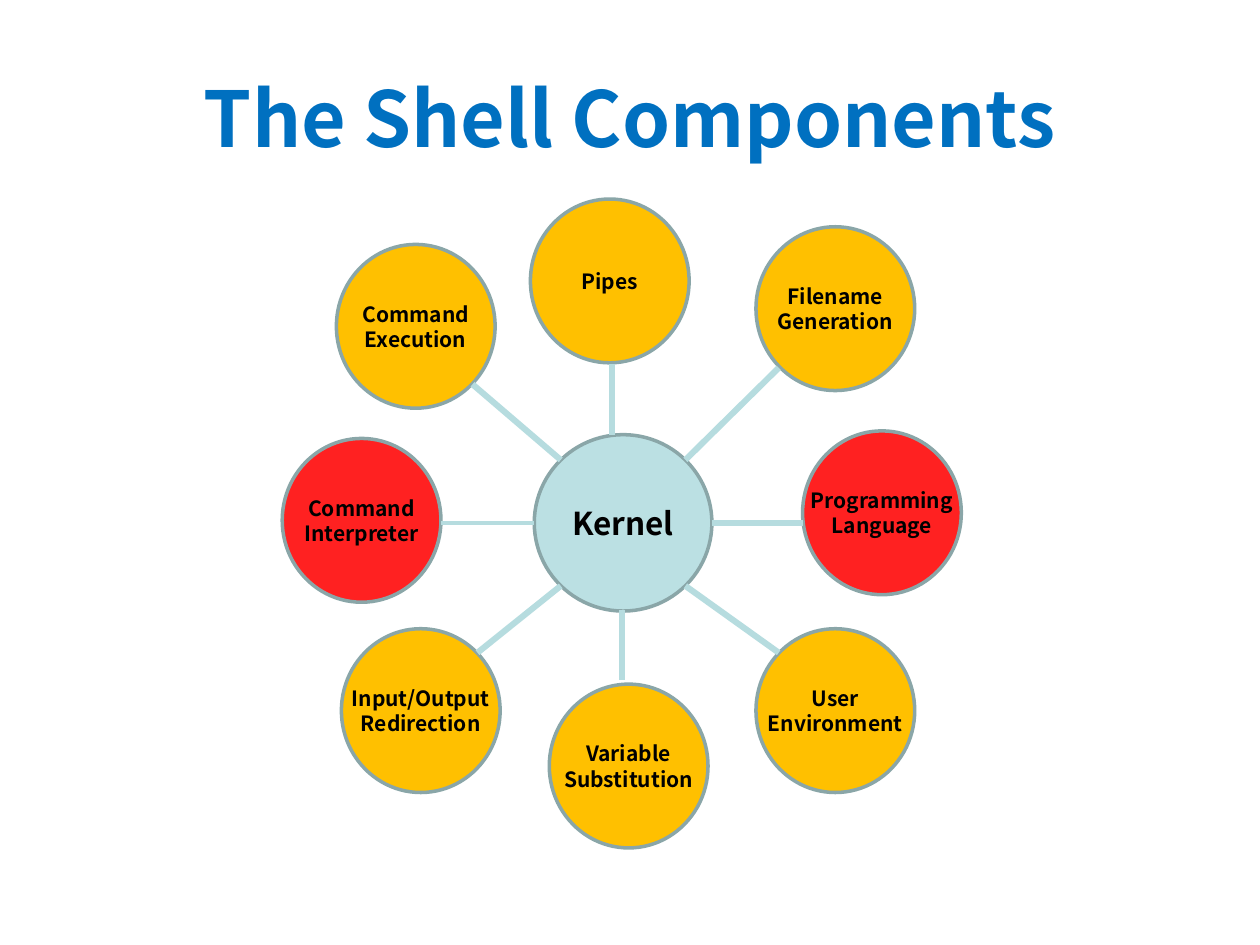
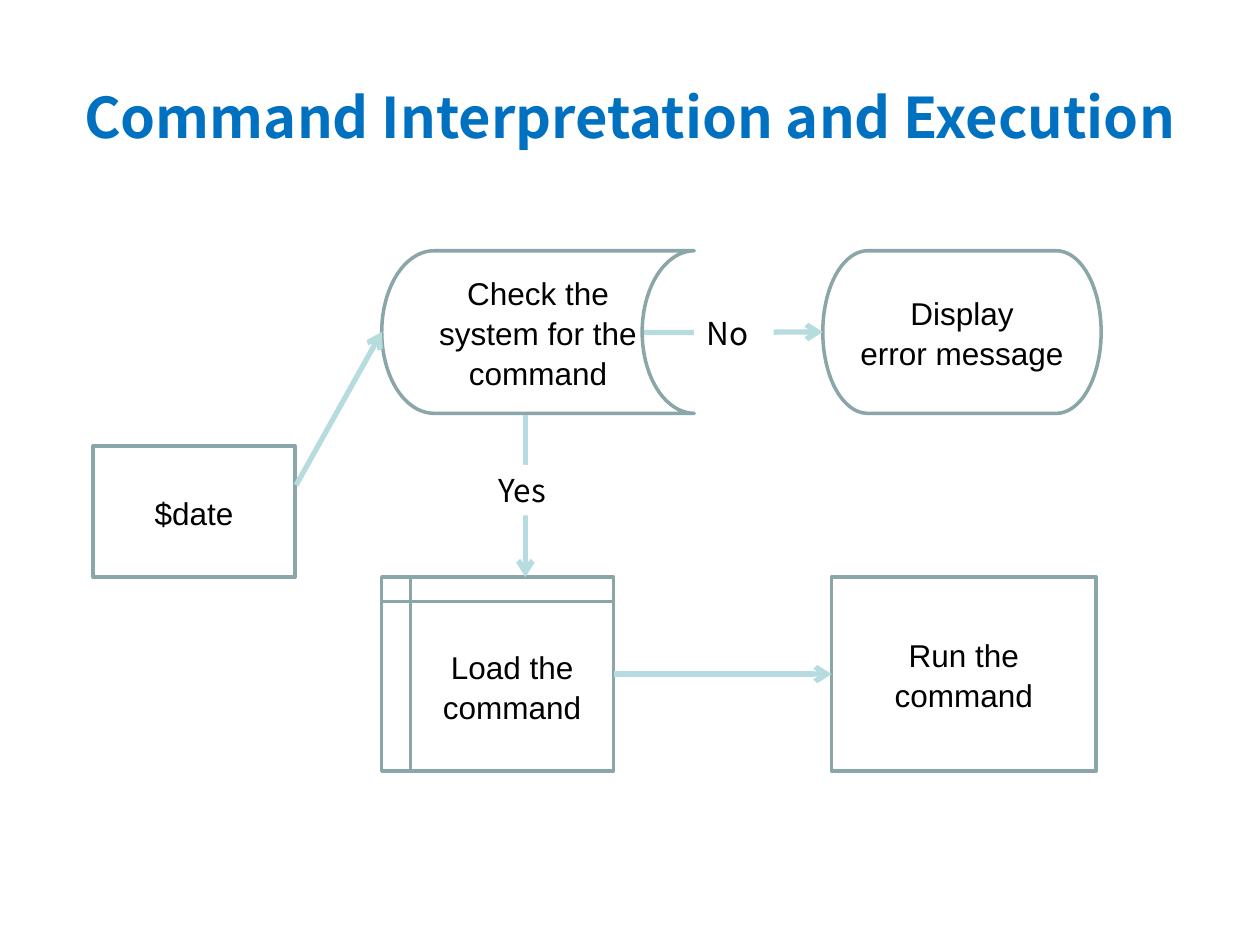
from lxml import etree
from pptx import Presentation
from pptx.dml.color import RGBColor
from pptx.enum import shapes, text
from pptx.oxml import ns
from pptx.util import Inches, Pt

COLORS = {
    "title": "0070C0",
    "ink": "000000",
    "paper": "FFFFFF",
    "outline": "8AA6A8",
    "link": "B6DCDF",
    "kernel": "BBE0E3",
    "feature": "FFC000",
    "key_feature": "FF2121",
}
SANS = "Noto Sans CJK SC"
ARIAL = "Arial"
FORM = shapes.MSO_SHAPE
TOP, LEFT, BOTTOM, RIGHT = range(4)
BUBBLE_SIZE = (1.26, 1.3)

# left, top, colour, label
BUBBLES = [
    (4.21, 1.58, "feature", "Pipes"),
    (6, 1.8, "feature", "Filename\nGeneration"),
    (6.37, 3.42, "key_feature", "Programming\nLanguage"),
    (6, 4.99, "feature", "User\nEnvironment"),
    (4.36, 5.43, "feature", "Variable\nSubstitution"),
    (2.71, 4.99, "feature", "Input/Output\nRedirection"),
    (2.24, 3.48, "key_feature", "Command\nInterpreter"),
    (2.67, 1.94, "feature", "Command\nExecution"),
]
# start at the kernel, end at the bubble, line width
SPOKES = [
    ((4.86, 3.45), (4.86, 2.89), 3.5),
    ((5.44, 3.65), (6.18, 2.92), 3.5),
    ((5.65, 4.15), (6.37, 4.15), 3.5),
    ((5.44, 4.65), (6.18, 5.18), 3.5),
    ((4.94, 4.84), (4.94, 5.4), 3.5),
    ((4.45, 4.65), (3.79, 5.18), 3.5),
    ((4.24, 4.15), (3.5, 4.15), 2),
    ((4.45, 3.65), (3.75, 3.05), 3.5),
]


def rgb(name):
    return RGBColor.from_string(COLORS[name])


def place(shape, left, top, width, height):
    shape.left, shape.top = Inches(left), Inches(top)
    shape.width, shape.height = Inches(width), Inches(height)


def write(shape, words, size, font=SANS, bold=False, color="ink",
          align=text.PP_ALIGN.CENTER, spacing=None):
    frame = shape.text_frame
    frame.text = words
    frame.vertical_anchor = text.MSO_ANCHOR.MIDDLE
    for paragraph in frame.paragraphs:
        paragraph.alignment = align
        paragraph.line_spacing = spacing
        paragraph.font.name = font
        paragraph.font.size = Pt(size)
        paragraph.font.bold = bold
        paragraph.font.color.rgb = rgb(color)


def add_titled_slide(deck, title, size, left, width):
    slide = deck.slides.add_slide(deck.slide_layouts[5])
    place(slide.shapes.title, left, 0.3, width, 1.25)
    write(slide.shapes.title, title, size, bold=True, color="title")
    return slide


def add_form(slide, form, box, fill=None, outline="outline", side_inset=0.0):
    shape = slide.shapes.add_shape(form, *map(Inches, box))
    shape.shadow.inherit = False
    if fill:
        shape.fill.solid()
        shape.fill.fore_color.rgb = rgb(fill)
    else:
        shape.fill.background()
    if outline:
        shape.line.color.rgb = rgb(outline)
        shape.line.width = Pt(2)
    else:
        shape.line.fill.background()
    frame = shape.text_frame
    frame.margin_left = frame.margin_right = Inches(side_inset)
    frame.word_wrap = True
    return shape


def add_bubble(slide, left, top, color, label):
    bubble = add_form(slide, FORM.OVAL, (left, top, *BUBBLE_SIZE), color)
    write(bubble, label, 12, bold=True, spacing=Pt(14.4))
    bubble.text_frame.word_wrap = False


def add_step(slide, form, box, label, side_inset=0.0):
    step = add_form(slide, form, box, side_inset=side_inset)
    write(step, label, 18, font=ARIAL, spacing=1.05)
    return step


def add_answer(slide, left, top, label):
    """Label that covers the middle of an arrow."""
    answer = add_form(slide, FORM.RECTANGLE, (left, top, 0.63, 0.4),
                      "paper", outline=None, side_inset=0.1)
    write(answer, label, 18, align=text.PP_ALIGN.LEFT)


def add_link(slide, start, end, width):
    link = slide.shapes.add_connector(
        shapes.MSO_CONNECTOR.STRAIGHT, *map(Inches, (*start, *end)))
    link.line.color.rgb = rgb("link")
    link.line.width = Pt(width)
    etree.SubElement(link._element.spPr, ns.qn("a:effectLst"))
    return link


def add_arrow(slide, start, end):
    arrow = add_link(slide, start, end, 3)
    etree.SubElement(arrow.line._get_or_add_ln(), ns.qn("a:tailEnd"), type="arrow")
    return arrow


def build_components(deck):
    slide = add_titled_slide(deck, "The Shell Components", 44, 0.5, 9)
    kernel = add_form(slide, FORM.OVAL, (4.24, 3.45, 1.41, 1.4), "kernel")
    write(kernel, "Kernel", 18, bold=True)
    for bubble in BUBBLES:
        add_bubble(slide, *bubble)
    for spoke in SPOKES:
        add_link(slide, *spoke)


def build_execution(deck):
    slide = add_titled_slide(deck, "Command Interpretation and Execution", 32, 0, 10)
    add_step(slide, FORM.FLOWCHART_PROCESS, (0.74, 3.54, 1.6, 1.04), "$date", 0.1)
    check = add_step(slide, FORM.FLOWCHART_STORED_DATA, (3.03, 1.99, 2.48, 1.29),
                     "Check the system for the command")
    load = add_step(slide, FORM.FLOWCHART_INTERNAL_STORAGE, (3.03, 4.58, 1.84, 1.54),
                    "Load the\ncommand")
    run = add_step(slide, FORM.FLOWCHART_PROCESS, (6.6, 4.58, 2.1, 1.54),
                   "Run the\ncommand", 0.1)
    error = add_step(slide, FORM.FLOWCHART_TERMINATOR, (6.53, 1.99, 2.21, 1.29),
                     "Display\nerror message")

    load_to_run = add_arrow(slide, (4.87, 5.35), (6.6, 5.35))
    load_to_run.begin_connect(load, RIGHT)
    load_to_run.end_connect(run, LEFT)
    add_arrow(slide, (2.35, 3.85), (3.03, 2.64)).end_connect(check, LEFT)
    add_arrow(slide, (4.17, 3.29), (4.17, 4.58))
    add_arrow(slide, (5.11, 2.64), (6.53, 2.64)).end_connect(error, LEFT)

    add_answer(slide, 5.51, 2.44, "No")
    add_answer(slide, 3.86, 3.69, "Yes")


def main():
    deck = Presentation()
    deck.slide_width, deck.slide_height = Inches(10), Inches(7.5)
    build_components(deck)
    build_execution(deck)
    deck.save("out.pptx")


if __name__ == "__main__":
    main()
